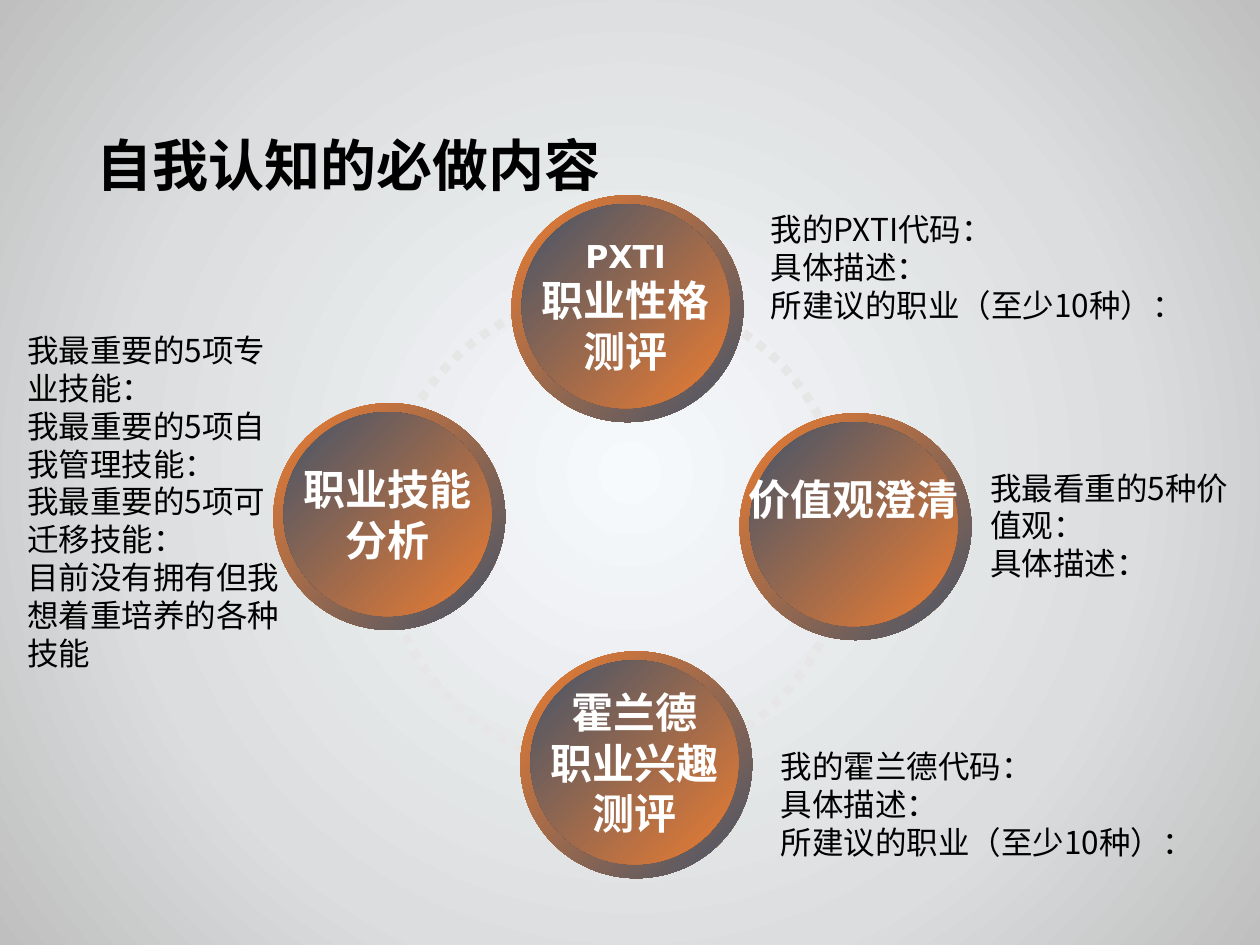
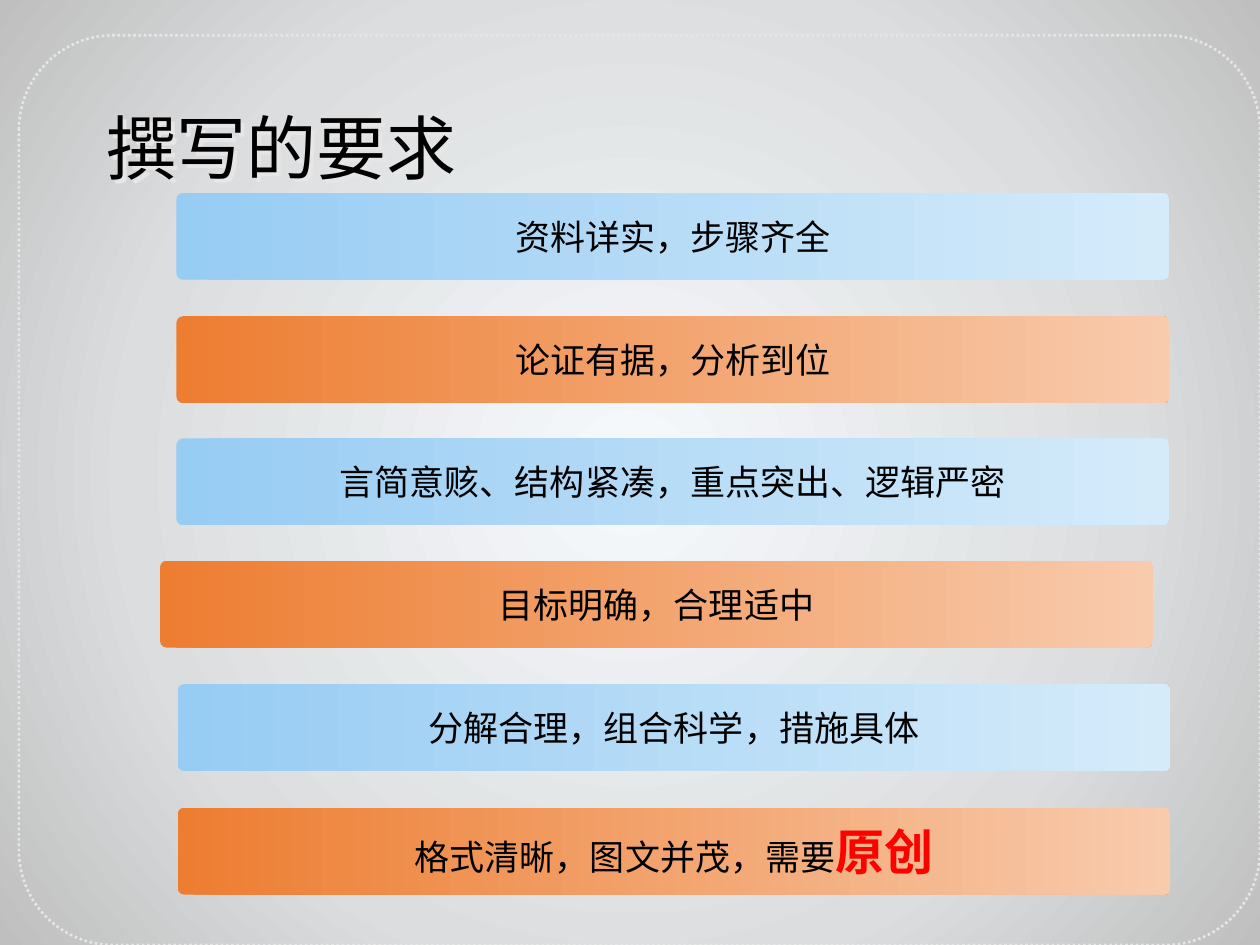
"""Builds two slides on self-knowledge tasks and writing requirements."""
import copy

import lxml.etree
import pptx
import pptx.dml.color
import pptx.enum.dml
import pptx.enum.shapes
import pptx.enum.text
import pptx.oxml.ns
import pptx.util

RGB = pptx.dml.color.RGBColor
SHAPE = pptx.enum.shapes.MSO_SHAPE
ALIGN = pptx.enum.text.PP_ALIGN
ANCHOR = pptx.enum.text.MSO_ANCHOR
qn = pptx.oxml.ns.qn

BLACK = RGB(0x00, 0x00, 0x00)
WHITE = RGB(0xFF, 0xFF, 0xFF)
RED = RGB(0xFF, 0x00, 0x00)
PALE_GREY = RGB(0xE7, 0xE6, 0xE6)
ORANGE = RGB(0xED, 0x7D, 0x31)
SLATE = RGB(0x44, 0x54, 0x6A)
BLUE_BAR = (RGB(0x97, 0xCC, 0xF3), RGB(0xD5, 0xEB, 0xFA))
ORANGE_BAR = (ORANGE, RGB(0xF8, 0xCB, 0xAD))
BACKDROP = (RGB(0xF7, 0xFA, 0xFD), RGB(0xDB, 0xDD, 0xDE), RGB(0xBF, 0xBF, 0xBF))
CJK = "Noto Sans CJK SC"
LABEL = "DejaVu Sans"
TEST = "PXTI"
PX = 9144


def px(*lengths):
    return [pptx.util.Emu(n * PX) for n in lengths]


def add_run(p, text, size=18, color=BLACK, bold=False, font=CJK):
    r = p.add_run()
    r.text = text
    r.font.size = pptx.util.Pt(size)
    r.font.bold = bold
    r.font.color.rgb = color
    r.font.name = font
    latin = r.font._element.find(qn("a:latin"))
    latin.addnext(lxml.etree.Element(qn("a:ea"), typeface=CJK))
    return r


def set_gradient(fill, node, colors, positions=(0, 1), angle=0):
    fill.gradient()
    grad = node.find(".//" + qn("a:gradFill"))
    stops = grad.find(qn("a:gsLst"))
    while len(stops) < len(colors):
        stops.append(copy.deepcopy(stops[-1]))
    for stop, color, position in zip(fill.gradient_stops, colors, positions):
        stop.color.rgb = color
        stop.position = position
    fill.gradient_angle = angle
    return grad


def set_shadow(sp, color):
    sp.shadow.inherit = False
    effects = sp.element.find(".//" + qn("a:effectLst"))
    outer = lxml.etree.SubElement(
        effects, qn("a:outerShdw"), dist="38100", dir="2700000")
    lxml.etree.SubElement(outer, qn("a:srgbClr"), val=str(color))


class Deck:
    """Holds the presentation, its style and the current slide."""

    def __init__(self):
        self.prs = pptx.Presentation()
        self.prs.slide_width, self.prs.slide_height = px(1000, 750)
        self.s = None

    def slide(self):
        self.s = self.prs.slides.add_slide(self.prs.slide_layouts[6])
        grad = set_gradient(self.s.background.fill, self.s.element,
                            BACKDROP, (0, 0.64, 1))
        grad.remove(grad.find(qn("a:lin")))
        focus = lxml.etree.SubElement(grad, qn("a:path"), path="circle")
        lxml.etree.SubElement(focus, qn("a:fillToRect"),
                              l="50000", t="50000", r="50000", b="50000")

    def shape(self, kind, box, colors=None, angle=0, corner=None):
        sp = self.s.shapes.add_shape(kind, *px(*box))
        sp.shadow.inherit = False
        if corner is not None:
            sp.adjustments[0] = corner
        if colors:
            set_gradient(sp.fill, sp.element, colors, angle=angle)
            sp.line.fill.background()
        else:
            sp.fill.background()
        return sp

    def outline(self, kind, box, width, corner=None):
        sp = self.shape(kind, box, corner=corner)
        sp.line.color.rgb = PALE_GREY
        sp.line.width = pptx.util.Pt(width)
        sp.line.dash_style = pptx.enum.dml.MSO_LINE.ROUND_DOT

    def caption(self, sp, lines, **style):
        tf = sp.text_frame
        tf.word_wrap = False
        tf.vertical_anchor = ANCHOR.MIDDLE
        for i, line in enumerate(lines):
            p = tf.add_paragraph() if i else tf.paragraphs[0]
            p.alignment = ALIGN.CENTER
            for text, extra in line:
                add_run(p, text, **{**style, **extra})
        return tf

    def text(self, box, lines, anchor=ANCHOR.TOP, **style):
        sp = self.s.shapes.add_textbox(*px(*box))
        tf = sp.text_frame
        tf.word_wrap = True
        tf.vertical_anchor = anchor
        for i, line in enumerate(lines):
            p = tf.add_paragraph() if i else tf.paragraphs[0]
            add_run(p, line, **style)
        return sp

    def badge(self, left, top, lines, drop=0):
        self.shape(SHAPE.OVAL, (left, top, 184, 180), (ORANGE, SLATE), 315)
        sp = self.shape(SHAPE.OVAL, (left + 8, top + 7, 165, 162),
                        (SLATE, ORANGE), 315)
        tf = self.caption(sp, lines, size=24, color=WHITE, bold=True, font=LABEL)
        tf.margin_bottom += px(drop)[0]

    def bar(self, left, top, colors, runs):
        sp = self.shape(SHAPE.ROUNDED_RECTANGLE, (left, top, 788, 69),
                        colors, corner=0.076)
        self.caption(sp, [runs], size=20)


def build_self_knowledge(deck):
    deck.slide()
    deck.outline(SHAPE.OVAL, (303, 233, 370, 377), 5)
    badges = [
        (587, 328, ["价值观澄清"], 40),
        (413, 517, ["霍兰德", "职业兴趣", "测评"], 0),
        (406, 155, [TEST, "职业性格", "测评"], 0),
        (217, 320, ["职业技能", "分析"], 0),
    ]
    for left, top, words, drop in badges:
        lines = [[(w, {"size": 18} if w == TEST else {})] for w in words]
        deck.badge(left, top, lines, drop)
    deck.text((67, 91, 457, 79), ["自我认知的必做内容"], ANCHOR.MIDDLE,
              size=32, bold=True)
    result = ["具体描述：", "所建议的职业（至少10种）："]
    notes = [
        ((610, 588, 500, 101), ["我的霍兰德代码：", *result]),
        ((602, 162, 500, 101), [f"我的{TEST}代码：", *result]),
        ((776, 367, 224, 101), ["我最看重的5种价值观：", result[0]]),
        ((12, 258, 224, 283), [
            *[f"我最重要的5项{kind}技能：" for kind in ("专业", "自我管理", "可迁移")],
            "目前没有拥有但我想着重培养的各种技能"]),
    ]
    for box, lines in notes:
        deck.text(box, lines)


def build_requirements(deck):
    deck.slide()
    deck.outline(SHAPE.ROUNDED_RECTANGLE, (15, 28, 985, 722), 1.5, 0.104)
    rows = [
        (140, [("资料详实，步骤齐全", {})]),
        (140, [("论证有据，分析到位", {})]),
        (140, [("言简意赅、结构紧凑，重点突出、逻辑严密", {})]),
        (127, [("目标明确，合理适中", {})]),
        (141, [("分解合理，组合科学，措施具体", {})]),
        (141, [("格式清晰，图文并茂，需要", {}),
               ("原创", {"size": 28, "color": RED, "bold": True})]),
    ]
    for i, (left, runs) in enumerate(rows):
        colors = ORANGE_BAR if i % 2 else BLUE_BAR
        deck.bar(left, 153 + round(97.5 * i), colors, runs)
    title = deck.text((75, 78, 850, 75), ["撰写的要求"], size=40, font="Calibri")
    set_shadow(title, PALE_GREY)


def main():
    deck = Deck()
    build_self_knowledge(deck)
    build_requirements(deck)
    deck.prs.save("out.pptx")


if __name__ == "__main__":
    main()
